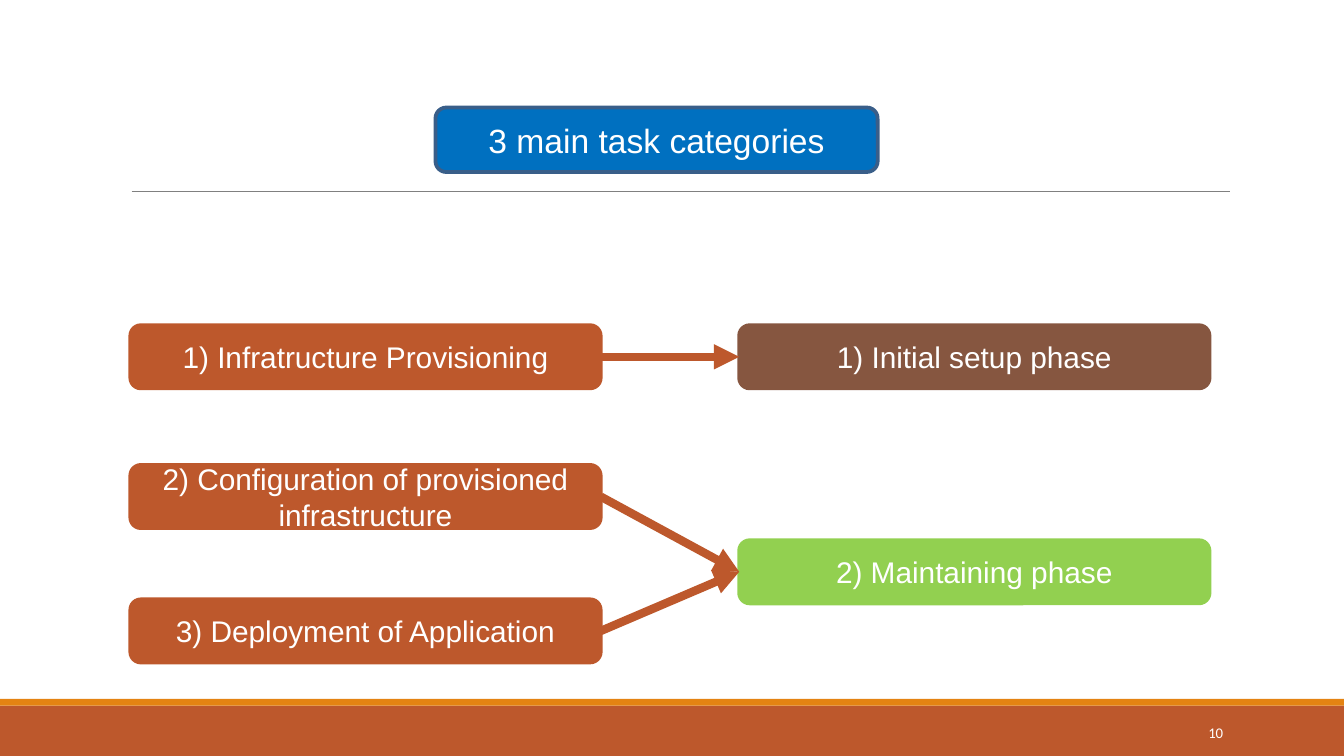
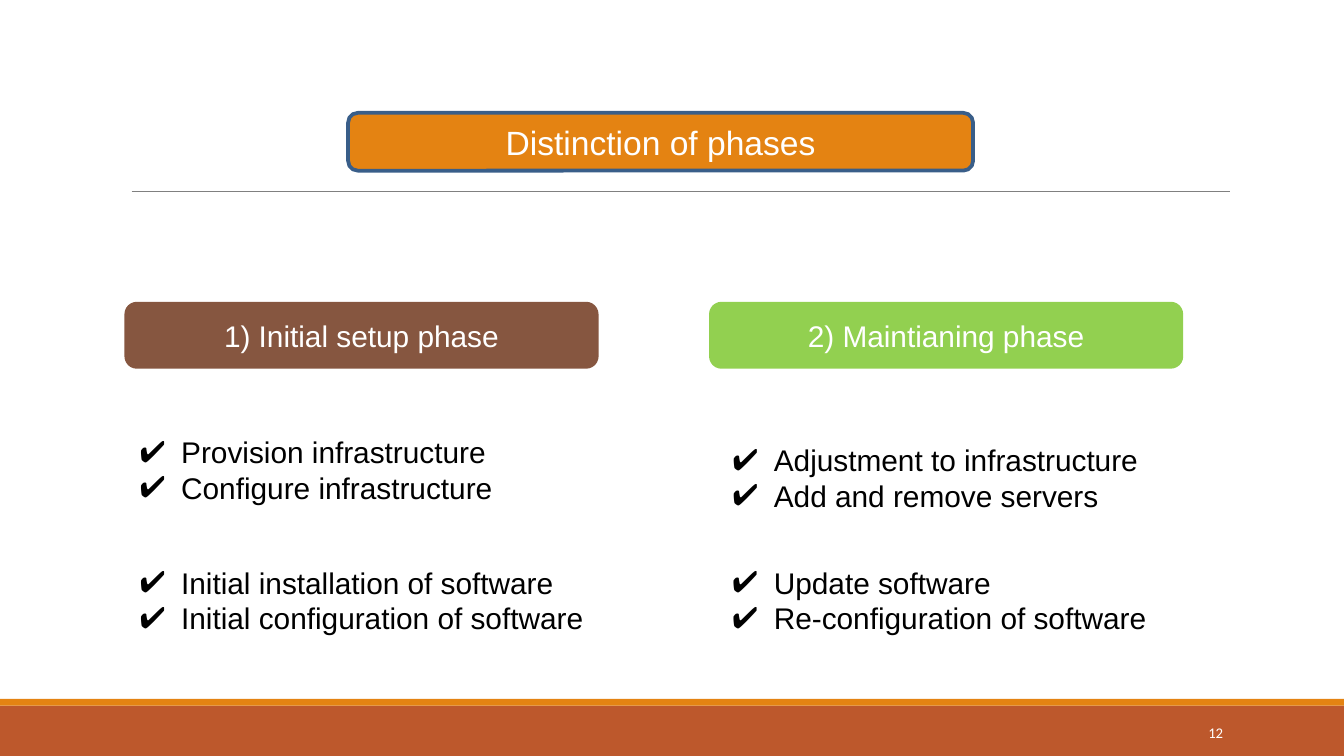
from dataclasses import dataclass

from lxml import etree
from pptx import Presentation
from pptx.dml.color import RGBColor
from pptx.enum.shapes import MSO_CONNECTOR, MSO_SHAPE
from pptx.enum.text import MSO_ANCHOR, MSO_AUTO_SIZE, PP_ALIGN
from pptx.oxml.ns import qn
from pptx.util import Pt

PX = 4572  # EMU in one px, 200 px to the inch
SLIDE_WIDTH, SLIDE_HEIGHT = 2000, 1125
TITLE_ONLY = 5
RECTANGLE, ROUNDED = MSO_SHAPE.RECTANGLE, MSO_SHAPE.ROUNDED_RECTANGLE
STRAIGHT = MSO_CONNECTOR.STRAIGHT
LEFT, CENTER, RIGHT = PP_ALIGN.LEFT, PP_ALIGN.CENTER, PP_ALIGN.RIGHT
TOP, MIDDLE = MSO_ANCHOR.TOP, MSO_ANCHOR.MIDDLE
FIXED, GROW = MSO_AUTO_SIZE.NONE, MSO_AUTO_SIZE.SHAPE_TO_FIT_TEXT
LEFT_SIDE, RIGHT_SIDE = 1, 3


@dataclass(frozen=True)
class Theme:
    rust: str = "BD582C"
    orange: str = "E48312"
    blue: str = "0070C0"
    navy: str = "395E89"
    brown: str = "865640"
    green: str = "92D050"
    grey: str = "808080"
    black: str = "000000"
    white: str = "FFFFFF"
    font: str = "Arial"
    number_font: str = "Calibri"
    title_size: float = 18
    body_size: float = 16
    number_size: float = 7.9
    outline: float = 2
    rule: float = 0.5
    arrow: float = 4.5


def emu(*lengths):
    return [length * PX for length in lengths]


def set_all(target, values):
    for name, value in values.items():
        setattr(target, name, value)


class Deck:
    def __init__(self, theme):
        self.theme = theme
        self.presentation = Presentation()
        size = emu(SLIDE_WIDTH, SLIDE_HEIGHT)
        set_all(self.presentation, dict(zip(("slide_width", "slide_height"), size)))
        self.slide = None

    def start_slide(self, title, number, title_box, title_fill):
        """Add a slide with its title, bands, rule and slide number."""
        theme = self.theme
        layout = self.presentation.slide_layouts[TITLE_ONLY]
        self.slide = self.presentation.slides.add_slide(layout)
        self.box((0, 1050, SLIDE_WIDTH, 75), theme.rust, kind=RECTANGLE)
        self.box((0, 1040, SLIDE_WIDTH, 10), theme.orange, kind=RECTANGLE)
        rule = self.slide.shapes.add_connector(STRAIGHT, *emu(196, 285, 1830, 285))
        self.style_line(rule, theme.grey, theme.rule)
        self.text((1624, 1060, 216, 60), [number], RIGHT, MIDDLE, FIXED,
                  size=theme.number_size, font=theme.number_font, color=theme.white)
        self.box(title_box, title_fill, theme.navy)
        self.title(title, title_box)

    def title(self, title, bounds):
        placeholder = self.slide.shapes.title
        set_all(placeholder, dict(zip(("left", "top", "width", "height"), emu(*bounds))))
        self.fill_text(placeholder, [title], CENTER, MIDDLE, FIXED,
                       size=self.theme.title_size, color=self.theme.white)
        # The title lies above the box that frames it.
        self.slide.shapes[-1]._element.addnext(placeholder._element)

    def box(self, bounds, fill, line=None, label=None, kind=ROUNDED):
        shape = self.slide.shapes.add_shape(kind, *emu(*bounds))
        shape.shadow.inherit = False
        shape.fill.solid()
        shape.fill.fore_color.rgb = RGBColor.from_string(fill)
        if line:
            shape.line.color.rgb = RGBColor.from_string(line)
            shape.line.width = Pt(self.theme.outline)
        else:
            shape.line.fill.background()
        if label:
            self.fill_text(shape, [label], CENTER, MIDDLE, FIXED, color=self.theme.white)
        return shape

    def phase(self, left, top, fill, label):
        return self.box((left, top, 700, 94), fill, fill, label)

    def text(self, bounds, lines, *layout, **style):
        shape = self.slide.shapes.add_textbox(*emu(*bounds))
        self.fill_text(shape, lines, *layout, **style)
        return shape

    def checklist(self, bounds, items):
        shape = self.text(bounds, items, LEFT, TOP, GROW)
        for paragraph in shape.text_frame.paragraphs:
            properties = paragraph._p.get_or_add_pPr()
            indent = 62 * PX
            properties.set("marL", str(indent))
            properties.set("indent", str(-indent))
            color = etree.SubElement(properties, qn("a:buClr"))
            etree.SubElement(color, qn("a:srgbClr"), val=self.theme.black)
            etree.SubElement(properties, qn("a:buFont"), typeface=self.theme.font)
            etree.SubElement(properties, qn("a:buChar"), char="✔")

    def fill_text(self, shape, lines, alignment, anchor, fit, size=None, font=None, color=None):
        frame = shape.text_frame
        set_all(frame, {"text": "\n".join(lines), "word_wrap": True,
                        "vertical_anchor": anchor, "auto_size": fit})
        for paragraph in frame.paragraphs:
            paragraph.alignment = alignment
            for run in paragraph.runs:
                set_all(run.font, {"name": font or self.theme.font,
                                   "size": Pt(size or self.theme.body_size)})
                run.font.color.rgb = RGBColor.from_string(color or self.theme.black)

    def style_line(self, connector, color, width):
        connector.line.color.rgb = RGBColor.from_string(color)
        connector.line.width = Pt(width)
        etree.SubElement(connector._element.spPr, qn("a:effectLst"))

    def arrow(self, source, target):
        connector = self.slide.shapes.add_connector(STRAIGHT, 0, 0, 0, 0)
        connector.begin_connect(source, RIGHT_SIDE)
        connector.end_connect(target, LEFT_SIDE)
        self.style_line(connector, self.theme.rust, self.theme.arrow)
        line = connector._element.spPr.find(qn("a:ln"))
        etree.SubElement(line, qn("a:tailEnd"), type="triangle")


def add_categories(deck):
    theme = deck.theme
    deck.start_slide("3 main task categories", "10", (648, 160, 658, 96), theme.blue)
    tasks = [deck.phase(194, top, theme.rust, label) for top, label in (
        (484, "1) Infratructure Provisioning"),
        (692, "2) Configuration of provisioned infrastructure"),
        (892, "3) Deployment of Application"),
    )]
    setup = deck.phase(1100, 484, theme.brown, "1) Initial setup phase")
    maintenance = deck.phase(1100, 804, theme.green, "2) Maintaining phase")
    provisioning, configuration, deployment = tasks
    deck.arrow(provisioning, setup)
    deck.arrow(deployment, maintenance)
    deck.arrow(configuration, maintenance)


def add_phases(deck):
    theme = deck.theme
    deck.start_slide("Distinction of phases", "12", (518, 168, 930, 86), theme.orange)
    deck.phase(188, 452, theme.brown, "1) Initial setup phase")
    deck.phase(1058, 452, theme.green, "2) Maintianing phase")
    for bounds, items in (
        ((188, 636, 1076, 128), ("Provision infrastructure", "Configure infrastructure")),
        ((188, 830, 760, 128),
         ("Initial installation of software", "Initial configuration of software")),
        ((1070, 648, 758, 128), ("Adjustment to infrastructure", "Add and remove servers")),
        ((1070, 830, 692, 128), ("Update software", "Re-configuration of software")),
    ):
        deck.checklist(bounds, items)


def main():
    deck = Deck(Theme())
    add_categories(deck)
    add_phases(deck)
    deck.presentation.save("out.pptx")


if __name__ == "__main__":
    main()
